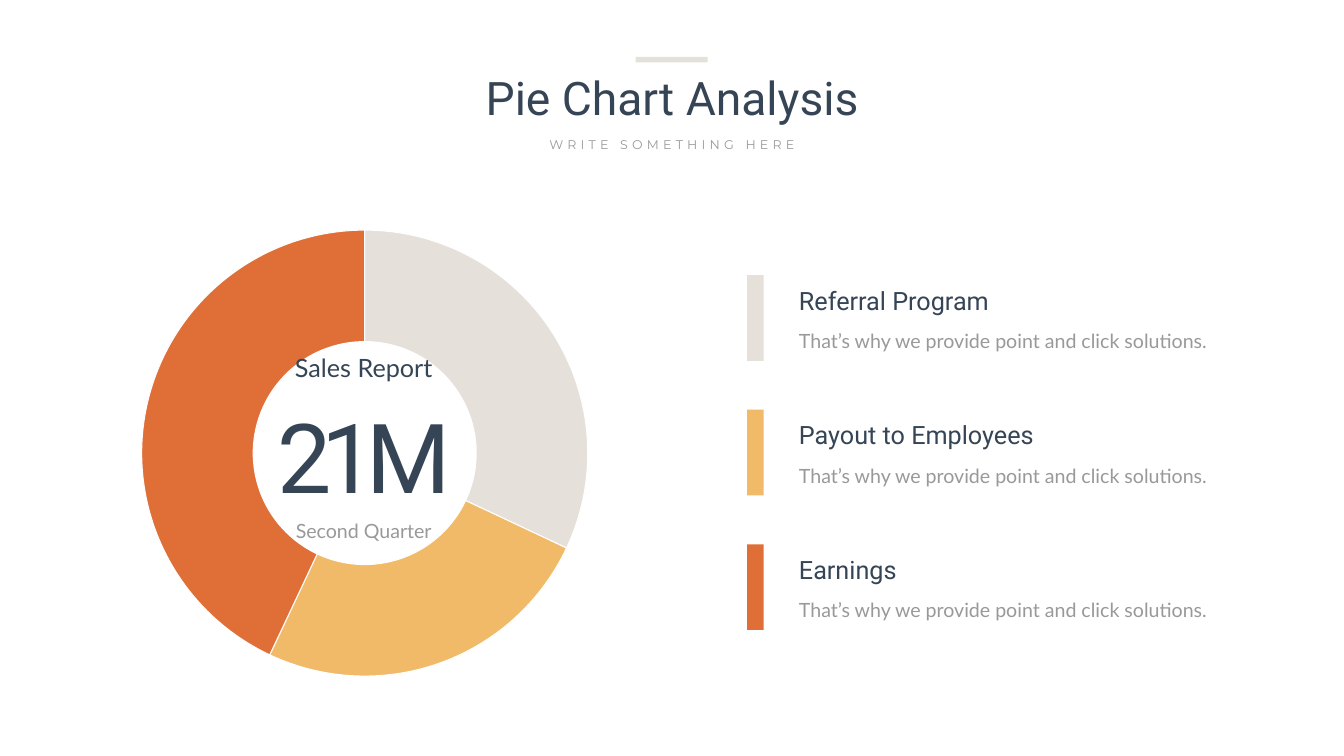
from pptx import Presentation
from pptx import util as u
from pptx.chart.data import CategoryChartData
from pptx.dml.color import RGBColor
from pptx.enum import chart as ch, shapes, text
from pptx.oxml import parse_xml
from pptx.oxml.ns import nsdecls, qn

NAVY = RGBColor(0x36, 0x45, 0x56)
GRAY = RGBColor(0x99, 0x99, 0x99)
SAND = RGBColor(0xE6, 0xE0, 0xDB)
YELLOW = RGBColor(0xF0, 0xBA, 0x69)
ORANGE = RGBColor(0xE0, 0x6F, 0x37)
WHITE = RGBColor(0xFF, 0xFF, 0xFF)

CENTER, LEFT = text.PP_ALIGN.CENTER, text.PP_ALIGN.LEFT
LINE = u.Pt(43)
FRAME = {"word_wrap": True, "auto_size": text.MSO_AUTO_SIZE.NONE,
         "vertical_anchor": text.MSO_ANCHOR.MIDDLE}


def fmt(name, size, color):
    return {"name": name, "size": u.Pt(size), "color": color}


class Deck:
    """Holds the text styles and the current slide."""

    styles = {
        "title": fmt("Roboto", 66, NAVY),
        "subtitle": fmt("Montserrat", 18, GRAY),
        "figure": fmt("Roboto", 138, NAVY),
        "heading": fmt("Roboto", 36, NAVY),
        "label": fmt("Lato", 36, NAVY),
        "body": fmt("Lato", 28, GRAY),
    }

    def __init__(self, s):
        self.s = s

    def set_font(self, font, style):
        for key, value in style.items():
            if key == "color":
                font.color.rgb = value
            else:
                setattr(font, key, value)

    def fill_text(self, sp, words, style, align, spacing=None, tracking=None):
        tf = sp.text_frame
        for key, value in FRAME.items():
            setattr(tf, key, value)
        p = tf.paragraphs[0]
        p.alignment = align
        if spacing:
            p.line_spacing = spacing
        r = p.add_run()
        r.text = words
        self.set_font(r.font, self.styles[style])
        if tracking:
            r.font._element.set("spc", str(tracking * 100))

    def title(self, box, words):
        sp = self.s.shapes.title
        sp.left, sp.top, sp.width, sp.height = map(u.Inches, box)
        self.fill_text(sp, words, "title", CENTER)

    def text(self, box, words, style, align=LEFT, **options):
        sp = self.s.shapes.add_textbox(*map(u.Inches, box))
        self.fill_text(sp, words, style, align, **options)

    def bar(self, box, color):
        sp = self.s.shapes.add_shape(shapes.MSO_SHAPE.RECTANGLE, *map(u.Inches, box))
        sp.shadow.inherit = False
        sp.fill.solid()
        sp.fill.fore_color.rgb = color
        sp.line.fill.background()

    def doughnut(self, box, values, colors):
        data = CategoryChartData()
        data.categories = [str(i + 1) for i in range(len(values))]
        data.add_series("Series 1", values)
        chart = self.s.shapes.add_chart(
            ch.XL_CHART_TYPE.DOUGHNUT, *map(u.Inches, box), data).chart
        chart.has_legend = chart.has_title = False
        self.set_font(chart.font, fmt("Calibri", 10, GRAY))
        plot = chart.plots[0]
        plot.vary_by_categories = True
        for i, color in enumerate(colors):
            point = plot.series[0].points[i].format
            point.fill.solid()
            point.fill.fore_color.rgb = color
            point.line.color.rgb = WHITE
            point.line.width = u.Pt(1.5)
        plot._element.find(qn("c:holeSize")).set("val", "75")

        # Ring centred in the frame
        area = chart._chartSpace.chart.plotArea
        for old in area.findall(qn("c:layout")):
            area.remove(old)
        ring = 8.85
        w, h = ring / box[2], ring / box[3]
        sizes = {"x": (1 - w) / 2, "y": (1 - h) / 2, "w": w, "h": h}
        parts = '<c:layoutTarget val="inner"/><c:xMode val="edge"/><c:yMode val="edge"/>'
        parts += "".join(f'<c:{k} val="{v:.4f}"/>' for k, v in sizes.items())
        area.insert(0, parse_xml(
            f'<c:layout {nsdecls("c")}><c:manualLayout>{parts}</c:manualLayout></c:layout>'))


def main():
    prs = Presentation()
    prs.slide_width, prs.slide_height = u.Inches(26.66), u.Inches(15)
    deck = Deck(prs.slides.add_slide(prs.slide_layouts[5]))

    # Header
    deck.title((7.74, 1.32, 11.19, 1.21), "Pie Chart Analysis")
    deck.text((10.35, 2.66, 5.96, 0.4), "WRITE SOMETHING HERE", "subtitle", CENTER, tracking=6)
    deck.bar((12.61, 1.13, 1.43, 0.11), SAND)

    # Doughnut with its centre text
    deck.doughnut((2.36, 4.42, 9.75, 9.14), (32, 25, 43), (SAND, YELLOW, ORANGE))
    deck.text((5.53, 10.15, 3.37, 0.64), "Second Quarter", "body", CENTER, spacing=LINE)
    deck.text((5.01, 7.82, 4.41, 2.42), "21M", "figure", CENTER, tracking=-14)
    deck.text((5.53, 6.95, 3.37, 0.7), "Sales Report", "label", CENTER, spacing=LINE)

    # Legend
    legend = (("Referral Program", SAND), ("Payout to Employees", YELLOW), ("Earnings", ORANGE))
    for i, (heading, color) in enumerate(legend):
        top = 5.46 + 2.67 * i
        deck.bar((14.82, top, 0.33, 1.7), color)
        deck.text((15.75, top + 0.14, 5.67, 0.71), heading, "heading")
        deck.text((15.75, top + 0.91, 8.55, 0.65),
                  "That’s why we provide point and click solutions.", "body", spacing=LINE)

    prs.save("out.pptx")


if __name__ == "__main__":
    main()
